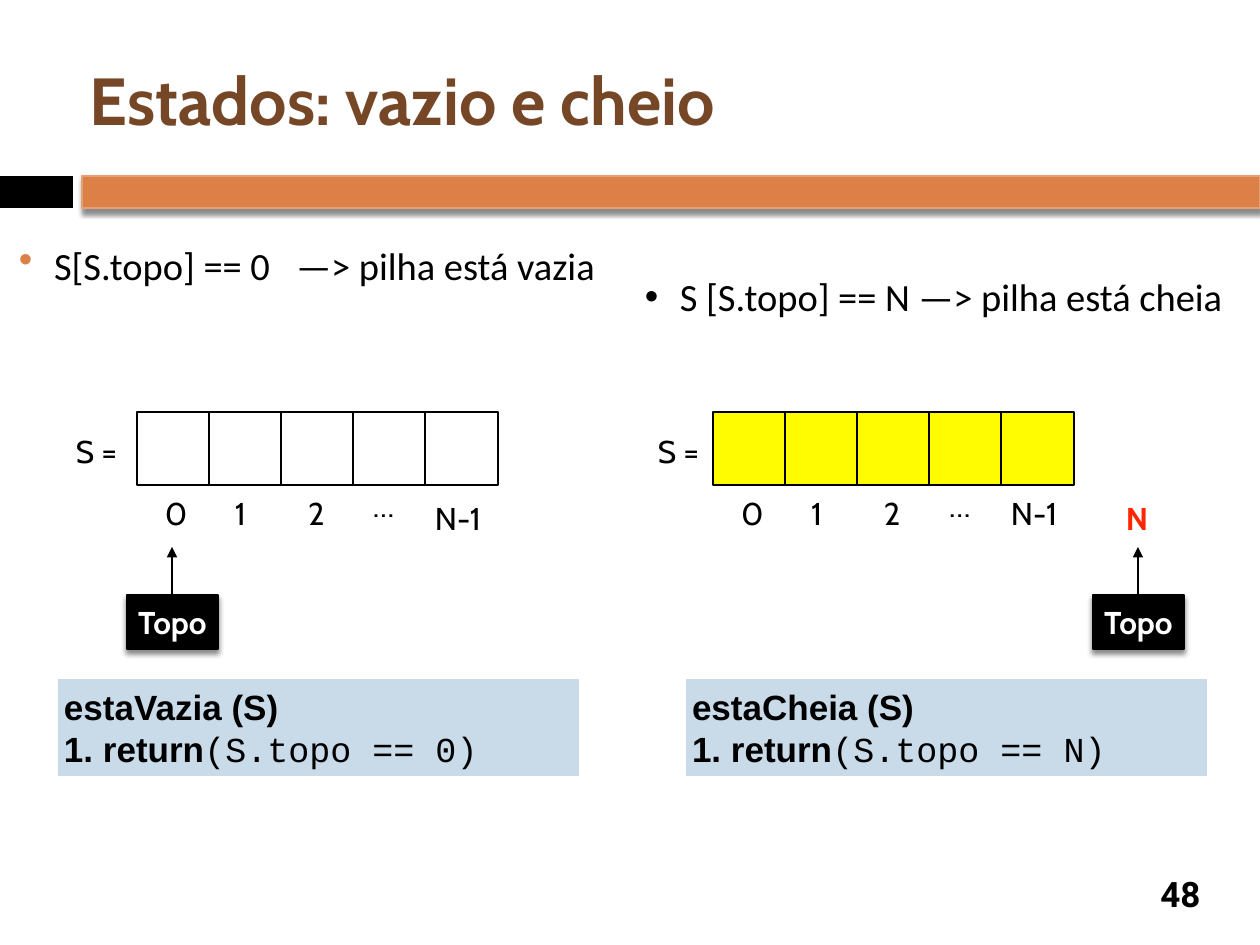
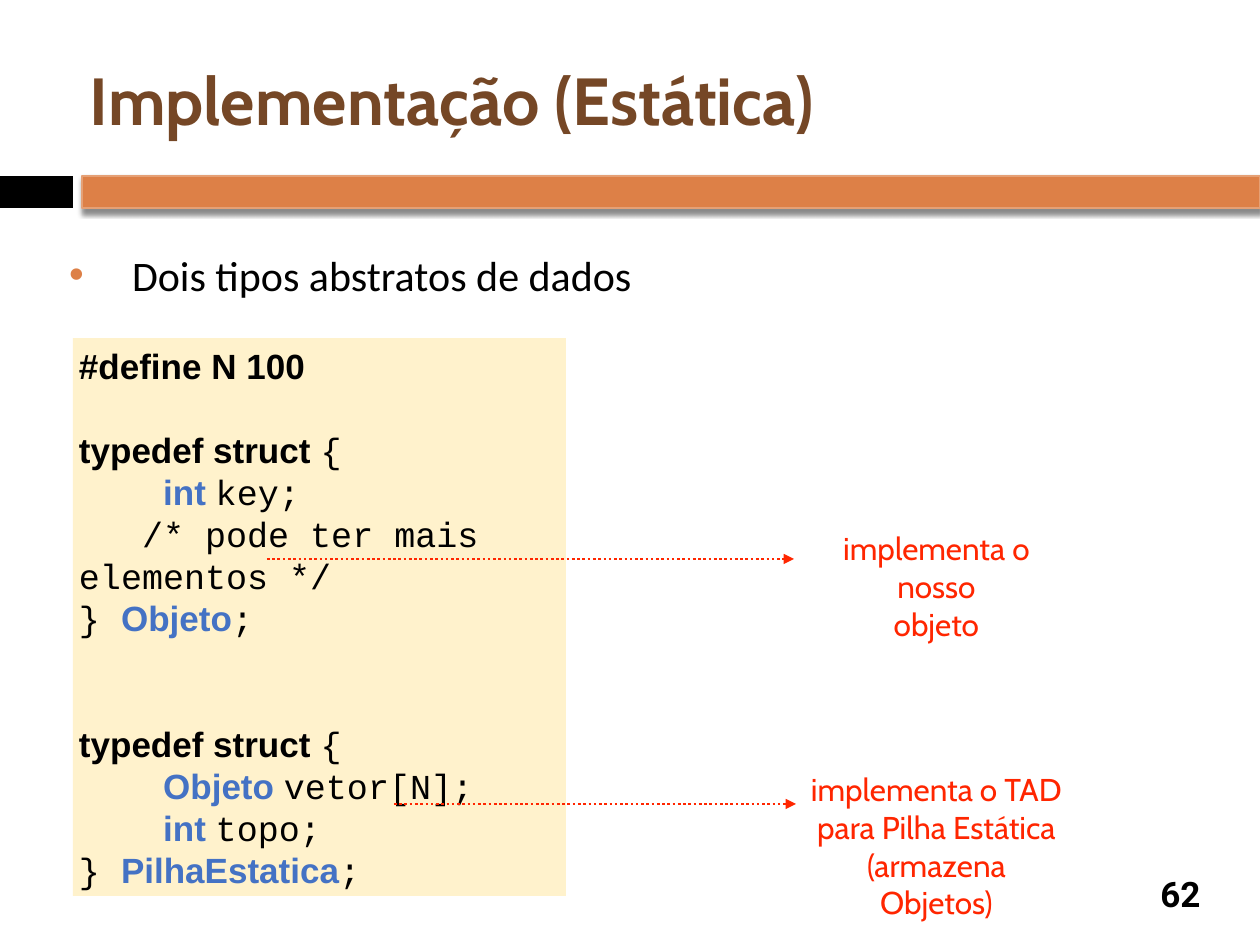
import pptx
import pptx.util
import pptx.dml.color
import pptx.enum.dml
import pptx.enum.shapes
import pptx.enum.text
import pptx.oxml
import pptx.oxml.ns

COLORS = {
    "black": "000000", "white": "FFFFFF", "orange": "DD8047", "peach": "E5A075",
    "brown": "754726", "red": "FF2600", "yellow": "FFFB00", "blue": "4472C4",
    "pale_blue": "C9DAE8", "cream": "FFF2CC",
}
CODE_STYLES = {
    "bold": ("Arial", "black", True),
    "type": ("Arial", "blue", True),
    "plain": ("Courier New", "black", False),
}
ALIGN = pptx.enum.text.PP_ALIGN
ANCHOR = pptx.enum.text.MSO_ANCHOR
RECT = pptx.enum.shapes.MSO_SHAPE.RECTANGLE
STRAIGHT = pptx.enum.shapes.MSO_CONNECTOR.STRAIGHT
PX = 914400 / 126
LINE = 24


def px(*values):
    return [pptx.util.Emu(round(v * PX)) for v in values]


def rgb(name):
    return pptx.dml.color.RGBColor.from_string(COLORS[name])


def add_xml(parent, xml):
    head, rest = xml.split(" ", 1)
    parent.append(pptx.oxml.parse_xml(f"{head} {pptx.oxml.ns.nsdecls('a')} {rest}"))


class Deck:
    def __init__(self):
        self.prs = pptx.Presentation()
        self.prs.slide_width, self.prs.slide_height = px(1260, 945)
        self.s = None

    def new_slide(self, title, number):
        self.s = self.prs.slides.add_slide(self.prs.slide_layouts[1])
        self.box(0, 176, 73, 32, "black")
        self.box(82, 176, 1178, 32, "orange", "peach", shadow=True)
        self.text(1144, 868, 73, 52, str(number), 20, "Roboto", bold=True,
                  align=ALIGN.CENTER, anchor=ANCHOR.MIDDLE, wrap=True)
        self.placeholder(self.s.shapes.title, 84, 31, 1124, 136, title,
                         38, "Cabin", "brown", True, ANCHOR.MIDDLE)

    def frame(self, sp, anchor=ANCHOR.TOP, wrap=True):
        tf = sp.text_frame
        tf.auto_size = pptx.enum.text.MSO_AUTO_SIZE.NONE
        tf.word_wrap = wrap
        tf.vertical_anchor = anchor
        tf.margin_left, tf.margin_top, tf.margin_right, tf.margin_bottom = px(6, 6, 6, 6)
        return tf

    def font(self, r, size, name, color, bold=False):
        r.font.size = pptx.util.Pt(size)
        r.font.name = name
        r.font.bold = bold
        r.font.color.rgb = rgb(color)

    def fill_text(self, tf, text, size, name, color, bold, align):
        tf.text = text
        for p in tf.paragraphs:
            p.alignment = align
            p.space_before = pptx.util.Pt(0)
            for r in p.runs:
                self.font(r, size, name, color, bold)

    def placeholder(self, sp, x, y, w, h, text, size, name, color, bold=False,
                    anchor=ANCHOR.TOP):
        sp.left, sp.top, sp.width, sp.height = px(x, y, w, h)
        tf = self.frame(sp, anchor)
        self.fill_text(tf, text, size, name, color, bold, ALIGN.LEFT)
        return tf.paragraphs[0]

    def body(self, x, y, w, h, text, size, indent):
        p = self.placeholder(self.s.placeholders[1], x, y, w, h, text,
                             size, "Calibri", "black")
        self.bullet(p, indent, "orange")
        return p

    def bullet(self, p, indent, color=None, numbered=False):
        pPr = p._p.get_or_add_pPr()
        margin = px(indent)[0]
        pPr.set("marL", str(margin))
        pPr.set("indent", str(-margin))
        if numbered:
            add_xml(pPr, '<a:buAutoNum type="arabicPeriod"/>')
            return
        add_xml(pPr, f'<a:buClr ><a:srgbClr val="{COLORS[color]}"/></a:buClr>')
        add_xml(pPr, '<a:buFont typeface="Arial"/>')
        add_xml(pPr, '<a:buChar char="•"/>')

    def text(self, x, y, w, h, text, size=18, name="Cabin", color="black", bold=False,
             align=ALIGN.LEFT, anchor=ANCHOR.TOP, wrap=False):
        sp = self.s.shapes.add_textbox(*px(x, y, w, h))
        tf = self.frame(sp, anchor, wrap)
        self.fill_text(tf, text, size, name, color, bold, align)
        return tf.paragraphs[0]

    def box(self, x, y, w, h, fill, line=None, shadow=False):
        sp = self.s.shapes.add_shape(RECT, *px(x, y, w, h))
        sp.shadow.inherit = False
        sp.fill.solid()
        sp.fill.fore_color.rgb = rgb(fill)
        if line:
            sp.line.color.rgb = rgb(line)
            sp.line.width = pptx.util.Pt(1.5)
        else:
            sp.line.fill.background()
        if shadow:
            effects = sp._element.spPr.find(pptx.oxml.ns.qn("a:effectLst"))
            add_xml(effects, '<a:outerShdw blurRad="38100" dist="30480" dir="5400000" '
                             f'rotWithShape="0"><a:srgbClr val="{COLORS["black"]}">'
                             '<a:alpha val="45000"/></a:srgbClr></a:outerShdw>')
        return sp

    def arrow(self, x1, y1, x2, y2, color, dotted=False):
        sp = self.s.shapes.add_connector(STRAIGHT, *px(x1, y1, x2, y2))
        sp.line.color.rgb = rgb(color)
        sp.line.width = pptx.util.Pt(1.5)
        if dotted:
            sp.line.dash_style = pptx.enum.dml.MSO_LINE.ROUND_DOT
        add_xml(sp.line._get_or_add_ln(), '<a:tailEnd type="triangle"/>')
        add_xml(sp._element.spPr, '<a:effectLst />')

    def code(self, x, y, w, h, fill, lines):
        tf = self.frame(self.box(x, y, w, h, fill))
        for i, (gap, runs) in enumerate(lines):
            p = tf.paragraphs[0] if i == 0 else tf.add_paragraph()
            p.alignment = ALIGN.LEFT
            p.line_spacing = pptx.util.Pt(LINE)
            p.space_before = pptx.util.Pt(gap * LINE)
            for style, text in runs:
                r = p.add_run()
                r.text = text
                self.font(r, 20, *CODE_STYLES[style])
        return tf

    def test_function(self, x, name, condition):
        tf = self.code(x, 679, 521, 97, "pale_blue", [
            (0, [("bold", name)]),
            (0, [("bold", " return"), ("plain", condition)]),
        ])
        self.bullet(tf.paragraphs[1], 29, numbered=True)

    def stack(self, x, label_x, fill, last_y):
        self.text(label_x, 426, 59, 45, "S =", align=ALIGN.CENTER)
        labels = [("0", 22, 488, 32), ("1", 92, 488, 32), ("2", 165, 488, 32),
                  ("…", 230, 480, 45), ("N-1", 292, last_y, 63)]
        for i, (label, dx, y, w) in enumerate(labels):
            self.box(x + 72 * i, 412, 73, 73, fill, "black")
            self.text(x + dx, y, w, 45, label)

    def top_marker(self, x):
        self.arrow(x, 604, x, 547, "black")
        sp = self.box(x - 45, 595, 91, 54, "black", "black", shadow=True)
        self.fill_text(self.frame(sp, ANCHOR.MIDDLE), "Topo", 18, "Cabin", "white",
                       True, ALIGN.CENTER)


def states_slide(deck):
    deck.new_slide("Estados: vazio e cheio", 48)
    p = deck.body(13, 267, 651, 76, "S[S.topo] == 0", 22, 35)
    p.line_spacing = 0.2
    for text, spacing in ((" ", 1000), ("—> pilha está vazia", 0)):
        r = p.add_run()
        r.text = text
        deck.font(r, 22, "Calibri", "black")
        r._r.get_or_add_rPr().set("spc", str(spacing))
    p = deck.text(639, 267, 593, 53, "S [S.topo] == N —> pilha está cheia", 22, "Calibri")
    deck.bullet(p, 35, "black")
    deck.stack(137, 67, "white", 493)
    deck.stack(713, 649, "yellow", 488)
    deck.text(1120, 493, 37, 45, "N", color="red", bold=True)
    deck.top_marker(172)
    deck.top_marker(1138)
    deck.test_function(58, "estaVazia (S)", "(S.topo == 0)")
    deck.test_function(686, "estaCheia (S)", "(S.topo == N)")


def implementation_slide(deck):
    deck.new_slide("Implementação (Estática)", 62)
    deck.code(73, 338, 493, 558, "cream", [
        (0, [("bold", "#define N 100")]),
        (1, [("bold", "typedef struct "), ("plain", "{")]),
        (0, [("plain", "    "), ("type", "int "), ("plain", "key;")]),
        (0, [("plain", "   /* pode ter mais elementos */")]),
        (0, [("plain", "} "), ("type", "Objeto"), ("plain", ";")]),
        (2, [("bold", "typedef struct "), ("plain", "{")]),
        (0, [("plain", "    "), ("type", "Objeto "), ("plain", "vetor[N];")]),
        (0, [("plain", "    "), ("type", "int "), ("plain", "topo;")]),
        (0, [("plain", "} "), ("type", "PilhaEstatica"), ("plain", ";")]),
    ])
    deck.body(63, 243, 1134, 102, "Dois tipos abstratos de dados", 24, 63)
    notes = [
        (523, 79, "implementa o nosso\nobjeto", 267, 794, 559),
        (764, 112, "implementa o TAD\npara Pilha Estática\n(armazena Objetos)",
         394, 796, 804),
    ]
    for y, h, note, start, end, arrow_y in notes:
        deck.text(803, y, 267, h, note, color="red", align=ALIGN.CENTER, wrap=True)
        deck.arrow(start, arrow_y, end, arrow_y, "red", dotted=True)


def main():
    deck = Deck()
    states_slide(deck)
    implementation_slide(deck)
    deck.prs.save("out.pptx")


if __name__ == "__main__":
    main()
